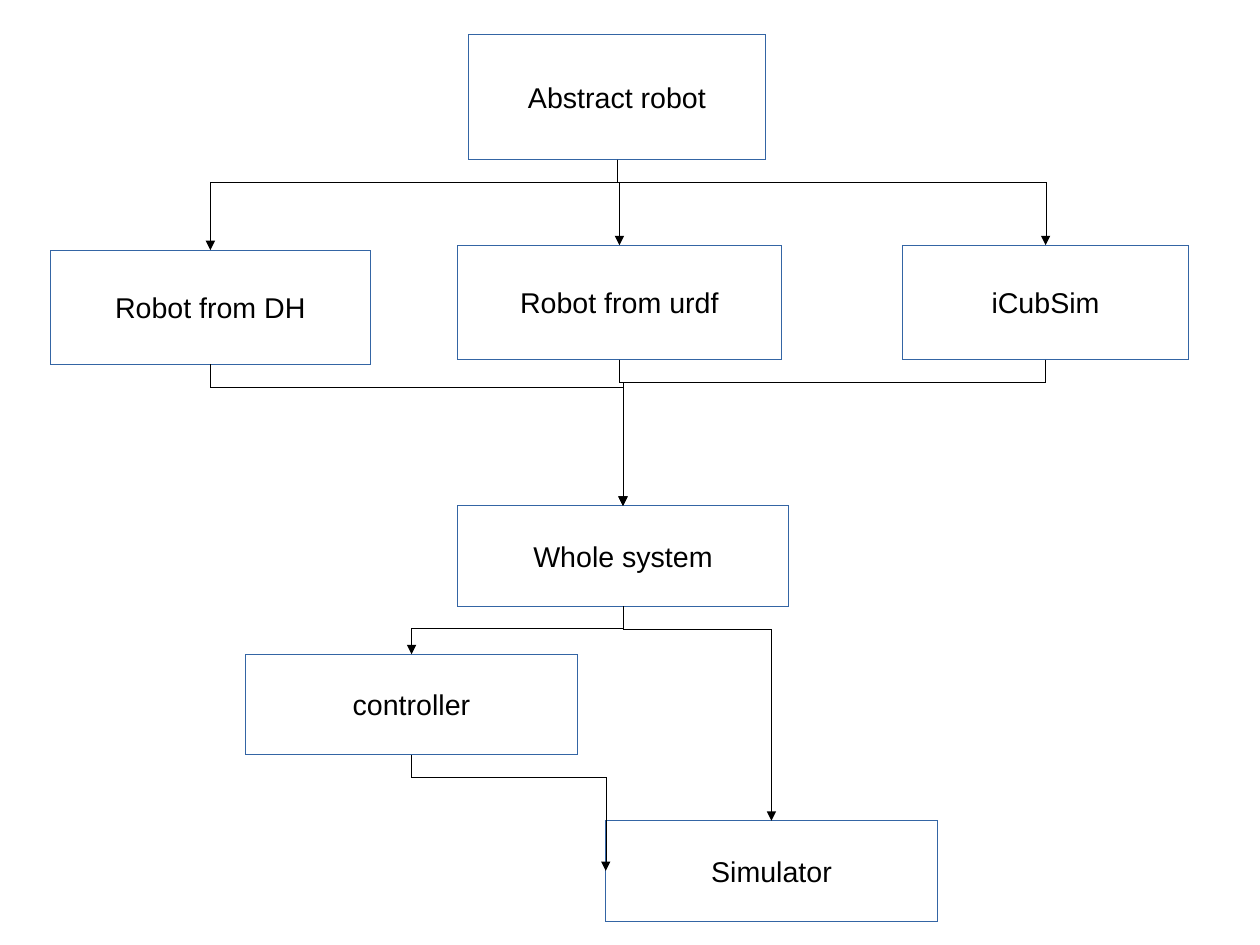
from lxml import etree
from pptx import Presentation
from pptx import util as u
from pptx.dml.color import RGBColor
from pptx.enum import shapes, text
from pptx.oxml.ns import qn

COLS, ROWS = 28, 21  # cells of one centimetre
HEX = {"edge": "3465A4", "ink": "000000"}
TOP, LEFT, BASE = 0, 1, 2  # connection sites of a rectangle
DROP = 0.5  # rows from a box down to the bend
LOW = (7.37, 2.23)  # size of the lower boxes

# left, top, width, height in grid cells
PARENT = {"Abstract robot": (10.41, 0.76, 6.6, 2.79)}
KINDS = {
    "Robot from DH": (1.12, 5.56, 7.11, 2.54),
    "Robot from urdf": (10.16, 5.45, 7.21, 2.54),
    "iCubSim": (20.06, 5.45, 6.35, 2.54),
}
SYSTEM = {
    "Whole system": (10.16, 11.24, *LOW),
    "controller": (5.46, 14.54, *LOW),
    "Simulator": (13.46, 18.24, *LOW),
}


def color(name):
    return RGBColor.from_string(HEX[name])


def set_line(shape, name):
    """Give a hairline; a width of zero must be written out to override the theme."""
    shape.line.color.rgb = color(name)
    line = shape._element.spPr.find(qn("a:ln"))
    line.set("w", "0")
    return line


def add_node(slide, label, box, cell):
    node = slide.shapes.add_shape(
        shapes.MSO_SHAPE.RECTANGLE, *(int(v * c) for v, c in zip(box, cell * 2)))
    node.shadow.inherit = False
    node.fill.background()
    set_line(node, "edge")
    frame = node.text_frame
    frame.word_wrap = False
    frame.vertical_anchor = text.MSO_ANCHOR.MIDDLE
    para = frame.paragraphs[0]
    para.alignment = text.PP_ALIGN.CENTER
    run = para.add_run()
    run.text = label
    run.font.name, run.font.size = "Arial", u.Pt(18)
    run.font.color.rgb = color("ink")
    return node


def add_link(slide, start, end, row, site=TOP):
    """Join the base of start to a site of end by a line that bends below start."""
    x1, y1 = start.left + start.width // 2, start.top + start.height
    x2, y2 = end.left, end.top
    if site == TOP:
        x2 += end.width // 2
    else:
        y2 += end.height // 2
    wide, tall = abs(x2 - x1), y2 - y1
    link = slide.shapes.add_connector(
        shapes.MSO_CONNECTOR.ELBOW, x1, y1, x2, y2)
    link.begin_connect(start, BASE)
    link.end_connect(end, site)

    # A vertical elbow is a horizontal one turned by a quarter
    link.left, link.top = (x1 + x2 - tall) // 2, (y1 + y2 - wide) // 2
    link.width, link.height = tall, wide
    right = x2 > x1
    props = link._element.spPr
    turn = props.find(qn("a:xfrm"))
    turn.set("rot", str((270 if right else 90) * 60000))
    turn.set("flipH", str(int(right)))
    turn.set("flipV", "0")
    geom = props.find(qn("a:prstGeom"))
    bends = geom.find(qn("a:avLst"))
    if bends is None:
        bends = etree.SubElement(geom, qn("a:avLst"))
    share = round(DROP * row / tall * 100000)
    etree.SubElement(bends, qn("a:gd"), name="adj1", fmla=f"val {share}")

    line = set_line(link, "ink")
    etree.SubElement(line, qn("a:tailEnd"), type="triangle")
    etree.SubElement(props, qn("a:effectLst"))


def add_group(slide, boxes, cell):
    return [add_node(slide, label, box, cell) for label, box in boxes.items()]


def add_tree(slide, cell):
    """Draw the kinds of robot and the system that they feed."""
    row = cell[1]
    parent, = add_group(slide, PARENT, cell)
    kinds = add_group(slide, KINDS, cell)
    whole, control, sim = add_group(slide, SYSTEM, cell)
    for kind in kinds:
        add_link(slide, parent, kind, row)
        add_link(slide, kind, whole, row)
    for part in (control, sim):
        add_link(slide, whole, part, row)
    add_link(slide, control, sim, row, LEFT)


def main():
    deck = Presentation()
    deck.slide_width, deck.slide_height = u.Cm(COLS), u.Cm(ROWS)
    slide = deck.slides.add_slide(deck.slide_layouts[6])
    add_tree(slide, (deck.slide_width / COLS, deck.slide_height / ROWS))
    deck.save("out.pptx")


if __name__ == "__main__":
    main()
